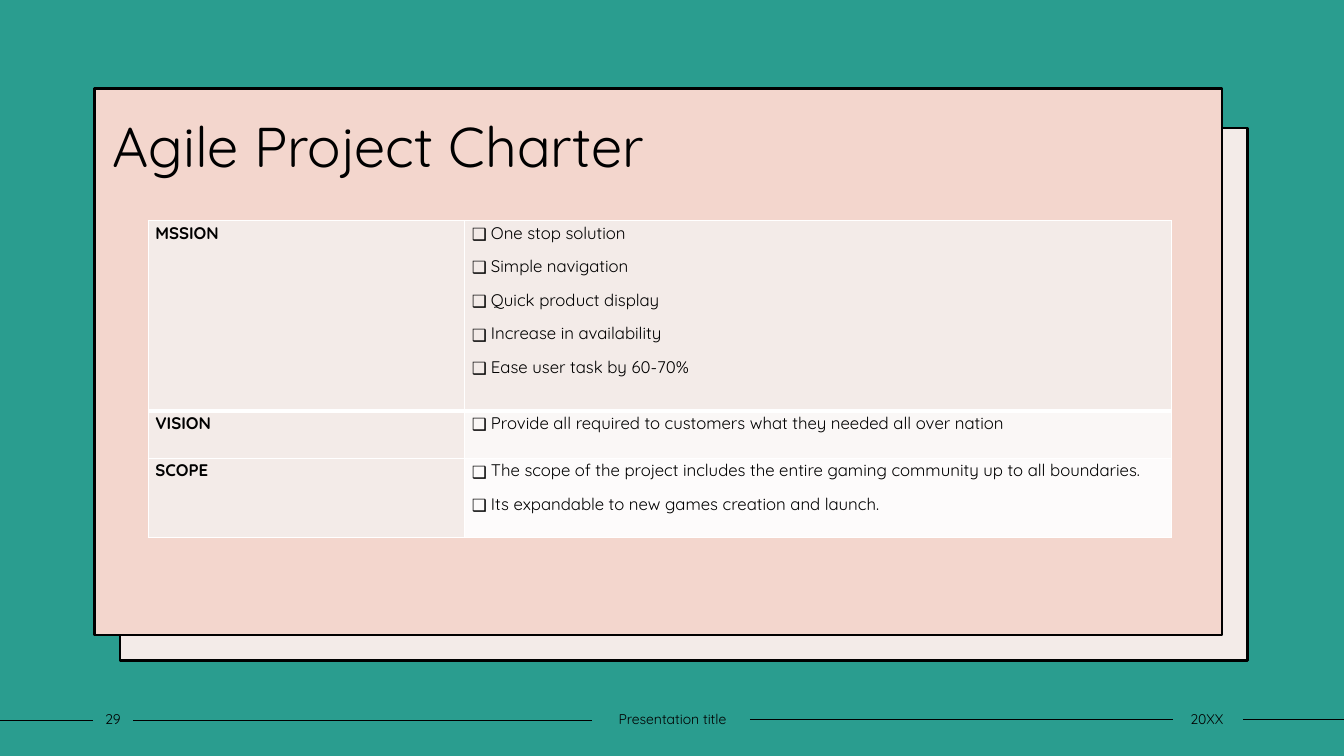
from lxml import etree
from pptx import Presentation
from pptx.dml.color import RGBColor
from pptx.enum.shapes import MSO_CONNECTOR, MSO_SHAPE
from pptx.enum.text import MSO_ANCHOR, PP_ALIGN
from pptx.oxml.ns import qn
from pptx.util import Inches, Pt

RECTANGLE = MSO_SHAPE.RECTANGLE
STRAIGHT = MSO_CONNECTOR.STRAIGHT
MIDDLE, TOP = MSO_ANCHOR.MIDDLE, MSO_ANCHOR.TOP
LEFT, CENTER = PP_ALIGN.LEFT, PP_ALIGN.CENTER

TEAL = RGBColor(0x2A, 0x9D, 0x8F)
PINK = RGBColor(0xF3, 0xD6, 0xCD)
CREAM = RGBColor(0xF3, 0xEB, 0xE8)
PALE = RGBColor(0xFA, 0xF7, 0xF6)
PALEST = RGBColor(0xFD, 0xFB, 0xFB)
BLACK = RGBColor(0, 0, 0)
WHITE = RGBColor(0xFF, 0xFF, 0xFF)

FONT = "Quicksand"
WIDTH, HEIGHT = Inches(13.33), Inches(7.5)
BULLET_INDENT = Inches(0.19)

# Row share of the slide height, heading, fill of the right cell, bullet points
CHARTER = [
    (25.2, "MSSION", CREAM, [
        "One stop solution",
        "Simple navigation",
        "Quick product display",
        "Increase in availability",
        "Ease user task by 60-70%",
    ]),
    (6.27, "VISION", PALE, [
        "Provide all required to customers what they needed all over nation",
    ]),
    (10.4, "SCOPE", PALEST, [
        "The scope of the project includes the entire gaming community up to all boundaries.",
        "Its expandable to new games creation and launch.",
    ]),
]
COLUMN_SHARES = (23.55, 52.6)

# Footer: left and width of each label; start, end and height of each rule
FOOTER_LABELS = [("29", 6.9, 3), ("Presentation title", 44.03, 12), ("20XX", 87.17, 5.25)]
FOOTER_RULES = [(0, 6.9, 95.33), (9.9, 44.03, 95.33), (55.8, 87.3, 95.2), (92.5, 100, 95.2)]


def across(percent):
    return round(WIDTH * percent / 100)


def down(percent):
    return round(HEIGHT * percent / 100)


def box(left, top, width, height):
    return across(left), down(top), across(width), down(height)


def add_bullet(paragraph):
    properties = paragraph._p.get_or_add_pPr()
    properties.set("marL", str(BULLET_INDENT))
    properties.set("indent", str(-BULLET_INDENT))
    etree.SubElement(properties, qn("a:buFont"), typeface="Noto Sans Symbols")
    etree.SubElement(properties, qn("a:buChar"), char="❑")


def write_text(frame, lines, size=12, bold=False, align=LEFT, spacing=1.0,
               after=0, bullets=False):
    for index, line in enumerate(lines):
        paragraph = frame.add_paragraph() if index else frame.paragraphs[0]
        if bullets:
            add_bullet(paragraph)
        paragraph.alignment = align
        paragraph.line_spacing = spacing
        paragraph.space_after = Pt(after)
        run = paragraph.add_run()
        run.text = line
        run.font.name = FONT
        run.font.size = Pt(size)
        run.font.bold = bold
        run.font.color.rgb = BLACK


def add_label(slide, text, place, side_inset=0.1, **text_format):
    frame = slide.shapes.add_textbox(*box(*place)).text_frame
    frame.word_wrap = True
    frame.vertical_anchor = MIDDLE
    frame.margin_left = frame.margin_right = Inches(side_inset)
    write_text(frame, [text], **text_format)


def add_sheet(slide, place, color):
    sheet = slide.shapes.add_shape(RECTANGLE, *box(*place))
    sheet.shadow.inherit = False
    sheet.fill.solid()
    sheet.fill.fore_color.rgb = color
    sheet.line.color.rgb = BLACK
    sheet.line.width = Pt(2)


def add_rule(slide, start, end, level):
    rule = slide.shapes.add_connector(
        STRAIGHT, across(start), down(level), across(end), down(level))
    rule.line.color.rgb = BLACK
    rule.line.width = Pt(1)
    etree.SubElement(rule._element.spPr, qn("a:effectLst"))


def set_borders(cell, widths):
    properties = cell._tc.get_or_add_tcPr()
    for side, width in widths.items():
        border = etree.SubElement(properties, qn("a:ln" + side), w=str(Pt(width)))
        fill = etree.SubElement(border, qn("a:solidFill"))
        etree.SubElement(fill, qn("a:srgbClr"), val=str(WHITE))


def fill_cell(cell, lines, color, borders, **text_format):
    # Borders have to come before the fill
    set_borders(cell, borders)
    cell.fill.solid()
    cell.fill.fore_color.rgb = color
    cell.margin_left = cell.margin_right = Inches(0.07)
    cell.margin_top = cell.margin_bottom = 0
    cell.vertical_anchor = TOP
    write_text(cell.text_frame, lines, spacing=1.07, after=8, **text_format)


def add_charter(slide, left, top):
    place = box(left, top, sum(COLUMN_SHARES), sum(row[0] for row in CHARTER))
    table = slide.shapes.add_table(len(CHARTER), len(COLUMN_SHARES), *place).table
    table.first_row = table.horz_banding = False
    for column, share in zip(table.columns, COLUMN_SHARES):
        column.width = across(share)
    for index, (share, heading, color, points) in enumerate(CHARTER):
        table.rows[index].height = down(share)
        borders = {"L": 1, "R": 1, "T": 3 if index == 1 else 1, "B": 1 if index else 3}
        fill_cell(table.cell(index, 0), [heading], CREAM, borders, bold=True)
        fill_cell(table.cell(index, 1), points, color, borders, bullets=True)


def main():
    presentation = Presentation()
    presentation.slide_width, presentation.slide_height = WIDTH, HEIGHT
    slide = presentation.slides.add_slide(presentation.slide_layouts[6])
    slide.background.fill.solid()
    slide.background.fill.fore_color.rgb = TEAL

    # Footer rules and the two stacked sheets
    for rule in FOOTER_RULES:
        add_rule(slide, *rule)
    add_sheet(slide, (8.93, 16.93, 83.87, 70.4), CREAM)
    add_sheet(slide, (7.05, 11.73, 83.87, 72.27), PINK)

    # Title, footer labels and charter table
    add_label(slide, "Agile Project Charter", (7.65, 12.67, 44.55, 14.27),
              size=40, spacing=0.9)
    for text, left, width in FOOTER_LABELS:
        add_label(slide, text, (left, 93.33, width, 3.6), side_inset=0,
                  size=10, align=CENTER)
    add_charter(slide, 11.03, 29.2)

    presentation.save("out.pptx")


if __name__ == "__main__":
    main()
